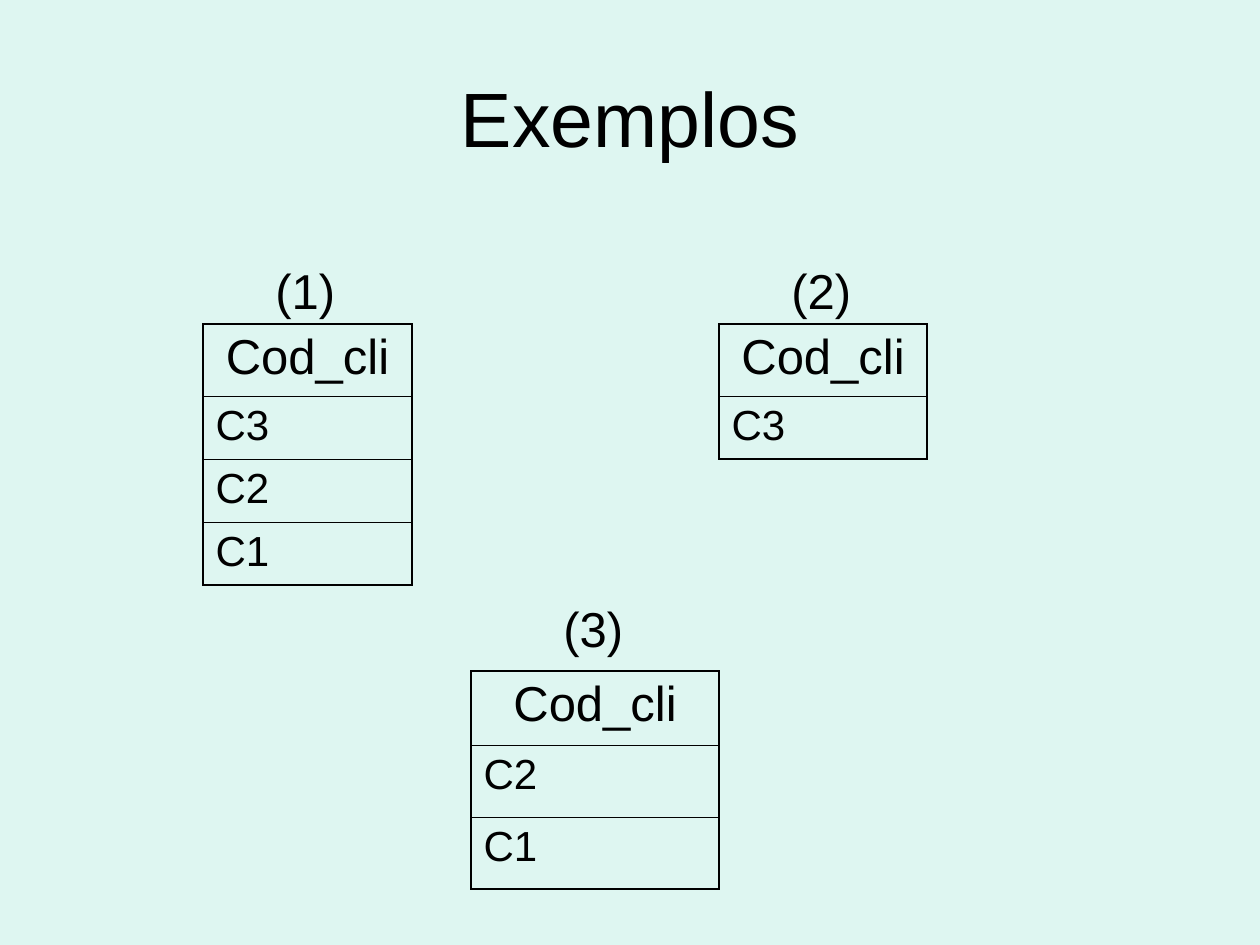
from dataclasses import dataclass

from lxml import etree
from pptx import Presentation
from pptx.dml.color import RGBColor
from pptx.enum.text import MSO_ANCHOR, MSO_AUTO_SIZE, PP_ALIGN
from pptx.oxml.ns import qn
from pptx.util import Pt

LEFT, CENTER = PP_ALIGN.LEFT, PP_ALIGN.CENTER
TOP, MIDDLE = MSO_ANCHOR.TOP, MSO_ANCHOR.MIDDLE
FIXED, GROW = MSO_AUTO_SIZE.NONE, MSO_AUTO_SIZE.SHAPE_TO_FIT_TEXT
EMU_PER_PX = 914400 / 126


@dataclass(frozen=True)
class Theme:
    background: str = "DEF6F1"
    ink: str = "000000"
    font: str = "Arial"
    title: int = 44
    heading: int = 28
    body: int = 24
    outer_line: float = 1.08
    inner_line: float = 0.45


THEME = Theme()


def px(n):
    return round(n * EMU_PER_PX)


def write(tf, text, size, align=LEFT):
    p = tf.paragraphs[0]
    p.alignment = align
    r = p.add_run()
    r.text = text
    formats = {"name": THEME.font, "size": Pt(size), "bold": False}
    for name, value in formats.items():
        setattr(r.font, name, value)
    r.font.color.rgb = RGBColor.from_string(THEME.ink)


def add_text(s, box, text, size, align=LEFT, **frame_formats):
    sp = s.shapes.add_textbox(*map(px, box))
    tf = sp.text_frame
    for name, value in frame_formats.items():
        setattr(tf, name, value)
    write(tf, text, size, align)


def set_borders(cell, first, last):
    """Thick lines round the table, thin lines between its rows."""
    outer, inner = THEME.outer_line, THEME.inner_line
    widths = {
        "a:lnL": outer,
        "a:lnR": outer,
        "a:lnT": outer if first else inner,
        "a:lnB": outer if last else inner,
    }
    tc_pr = cell._tc.get_or_add_tcPr()
    for tag, width in widths.items():
        ln = etree.SubElement(tc_pr, qn(tag), w=str(Pt(width)))
        fill = etree.SubElement(ln, qn("a:solidFill"))
        etree.SubElement(fill, qn("a:srgbClr"), val=THEME.ink)


def add_code_table(s, left, top, width, heights, values):
    frame = s.shapes.add_table(len(values), 1, px(left), px(top),
                               px(width), px(sum(heights)))
    table = frame.table
    table.first_row = table.horz_banding = False
    table.columns[0].width = px(width)
    for i, (height, value) in enumerate(zip(heights, values)):
        table.rows[i].height = px(height)
        cell = table.cell(i, 0)
        set_borders(cell, i == 0, i == len(values) - 1)
        cell.fill.background()
        if i == 0:
            write(cell.text_frame, value, THEME.heading, CENTER)
        else:
            write(cell.text_frame, value, THEME.body)


def add_example(s, number, label_at, table_at, width, header_h, row_h, codes):
    heights = [header_h] + [row_h] * len(codes)
    add_code_table(s, *table_at, width, heights, ["Cod_cli"] + codes)
    add_text(s, (*label_at, 85, 72), f"({number})", THEME.heading,
             vertical_anchor=TOP, word_wrap=False, auto_size=GROW)


def main():
    prs = Presentation()
    prs.slide_width, prs.slide_height = px(1260), px(945)
    s = prs.slides.add_slide(prs.slide_layouts[6])
    fill = s.background.fill
    fill.solid()
    fill.fore_color.rgb = RGBColor.from_string(THEME.background)

    # Title
    add_text(s, (63, 38, 1134, 158), "Exemplos", THEME.title, CENTER,
             vertical_anchor=MIDDLE, word_wrap=True, auto_size=FIXED)

    # Numbered examples: label, table, column width, row heights, codes
    examples = [
        ((263, 254), (203, 324), 209, 72, 63, ["C3", "C2", "C1"]),
        ((779, 254), (719, 324), 208, 72, 63, ["C3"]),
        ((551, 592), (471, 671), 248, 74, 72, ["C2", "C1"]),
    ]
    for number, example in enumerate(examples, start=1):
        add_example(s, number, *example)

    prs.save("out.pptx")


if __name__ == "__main__":
    main()
